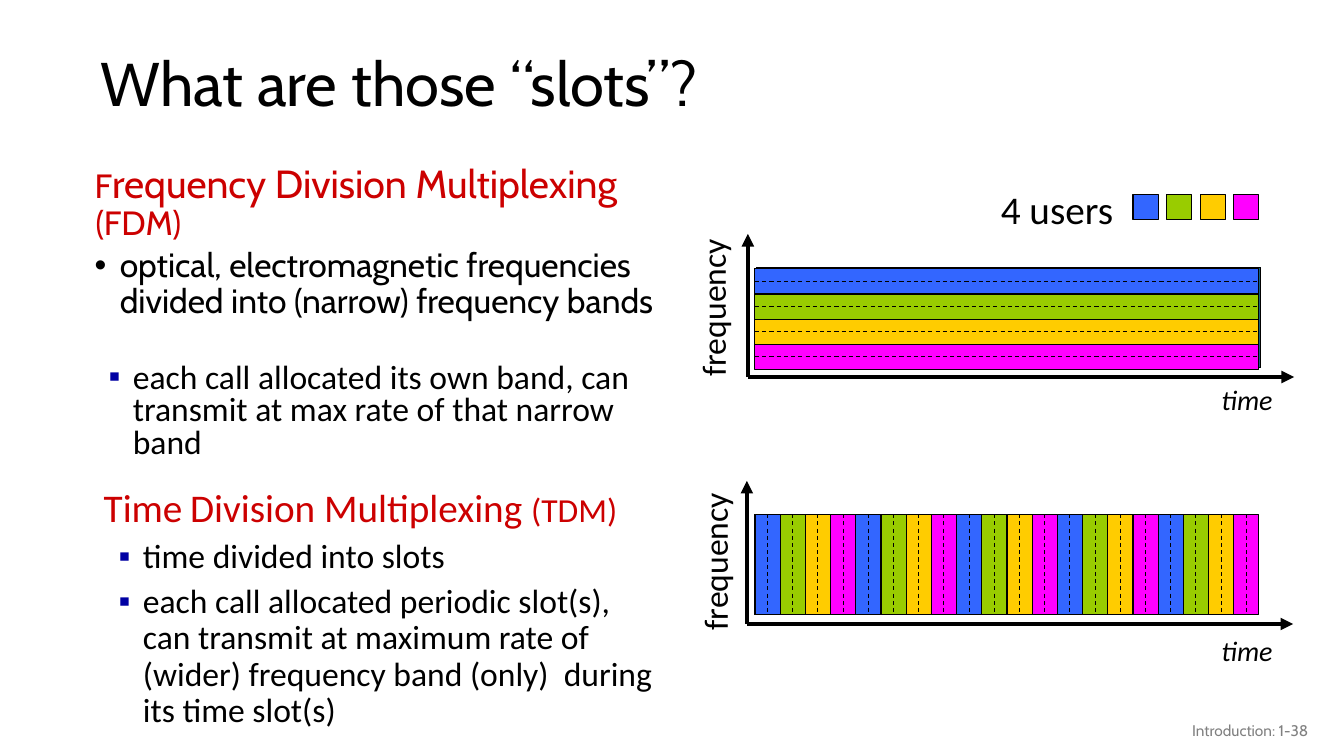
from dataclasses import dataclass

from lxml.etree import SubElement
from pptx import Presentation
from pptx.dml.color import RGBColor
from pptx.enum.dml import MSO_LINE_DASH_STYLE as Dash
from pptx.enum.shapes import MSO_CONNECTOR as Connector, MSO_SHAPE as Shape
from pptx.enum.text import MSO_ANCHOR as Anchor, MSO_AUTO_SIZE as AutoSize, PP_ALIGN as Align
from pptx.oxml.ns import qn
from pptx.util import Pt


@dataclass(frozen=True)
class Theme:
    """Colours, fonts and type sizes of the slide."""
    ink: str = "000000"
    heading: str = "CC0000"
    bullet: str = "0000A3"
    frame: str = "156082"
    footer: str = "808080"
    users: tuple = ("3366FF", "99CC00", "FFCC00", "FF00FF")
    display: str = "Cabin"
    text: str = "Calibri"
    title_size: int = 44
    heading_size: int = 28
    body_size: int = 24
    small_size: int = 20
    footer_size: int = 11
    thin: float = 0.75
    thick: float = 3


class SlideBuilder:
    """Draws styled elements on the current slide."""

    def __init__(self, slide, theme):
        self.slide = slide
        self.theme = theme

    def text(self, box, paragraphs, wrap=True, anchor=Anchor.TOP, rotation=0):
        """Add a text box holding (runs, format) pairs."""
        shape = self.slide.shapes.add_textbox(*map(Pt, box))
        shape.rotation = rotation
        frame = shape.text_frame
        frame_format = {"word_wrap": wrap, "vertical_anchor": anchor,
                        "auto_size": AutoSize.NONE if wrap else AutoSize.SHAPE_TO_FIT_TEXT}
        for name, value in frame_format.items():
            setattr(frame, name, value)
        for index, (runs, style) in enumerate(paragraphs):
            paragraph = frame.add_paragraph() if index else frame.paragraphs[0]
            self.paragraph(paragraph, runs, **style)
        return shape

    def paragraph(self, paragraph, runs, bullet=None, bullet_color=None,
                  left=0, hanging=0, **style):
        """Fill one paragraph with (text, size, font, colour, italic) runs."""
        for name, value in style.items():
            setattr(paragraph, name, value)
        properties = paragraph._p.get_or_add_pPr()
        properties.set("marL", str(Pt(left)))
        properties.set("indent", str(-Pt(hanging)))
        if bullet_color:
            color = SubElement(properties, qn("a:buClr"))
            SubElement(color, qn("a:srgbClr"), val=bullet_color)
        if bullet:
            SubElement(properties, qn("a:buFont"), typeface="Arial")
            SubElement(properties, qn("a:buChar"), char=bullet)
        for words, size, font, color, italic in runs:
            run = paragraph.add_run()
            run.text = words
            run_format = {"size": Pt(size), "name": font, "italic": italic}
            for name, value in run_format.items():
                setattr(run.font, name, value)
            run.font.color.rgb = RGBColor.from_string(color)

    def run(self, words, size=None, font=None, color=None, italic=False):
        """Describe a run, taking the body style by default."""
        theme = self.theme
        return (words, size or theme.body_size, font or theme.text, color or theme.ink, italic)

    def rectangle(self, box, color):
        """Add a thinly outlined rectangle."""
        shape = self.slide.shapes.add_shape(Shape.RECTANGLE, *map(Pt, box))
        shape.shadow.inherit = False
        shape.fill.solid()
        shape.fill.fore_color.rgb = RGBColor.from_string(color)
        self.outline(shape.line, self.theme.thin)
        return shape

    def outline(self, line, width, dash=None):
        """Set the ink colour, width and dash of a line."""
        line.color.rgb = RGBColor.from_string(self.theme.ink)
        for name, value in {"width": Pt(width), "dash_style": dash}.items():
            setattr(line, name, value)

    def line(self, start, end, width=None, dash=None, arrow=False):
        """Add a straight connector."""
        connector = self.slide.shapes.add_connector(Connector.STRAIGHT, *map(Pt, start + end))
        self.outline(connector.line, width or self.theme.thin, dash)
        if arrow:
            SubElement(connector.line._get_or_add_ln(), qn("a:tailEnd"), type="triangle")
        SubElement(connector._element.spPr, qn("a:effectLst"))
        return connector

    def midline(self, shape, first_side, last_side):
        """Join two opposite sides of a rectangle by a dashed line."""
        connector = self.line((0, 0), (0, 0), dash=Dash.DASH)
        connector.begin_connect(shape, first_side)
        connector.end_connect(shape, last_side)

    def axes(self, origin, frequency_at, time_at):
        """Add the frequency and time axes with their labels."""
        x, y = origin
        for end in ((x, y - 102.2), (x + 390.2, y)):
            self.line(origin, end, self.theme.thick, arrow=True)
        self.text((*frequency_at, 113.8, 36.4), [([self.run("frequency")], {})],
                  wrap=False, rotation=270)
        time = self.run("time", self.theme.small_size, italic=True)
        self.text((*time_at, 52.6, 31.5), [([time], {})], wrap=False)

    def slots(self, left, top, width, height, count, stacked):
        """Divide an area into equal slots that cycle through the users."""
        step_x, step_y = (0, height / count) if stacked else (width / count, 0)
        size = (step_x or width, step_y or height)
        corners = [(left + i * step_x, top + i * step_y) for i in range(count)]
        colors = self.theme.users
        cells = [self.rectangle((*corner, *size), colors[i % len(colors)])
                 for i, corner in enumerate(corners)]
        for x, y in corners[1:]:
            self.line((x, y), (x + width, y) if stacked else (x, y + height))
        for cell in cells:
            self.midline(cell, *((1, 3) if stacked else (0, 2)))


def main():
    """Build and save the slide."""
    presentation = Presentation()
    presentation.slide_width, presentation.slide_height = Pt(960), Pt(540)
    theme = Theme()
    builder = SlideBuilder(presentation.slides.add_slide(presentation.slide_layouts[6]), theme)
    run = builder.run

    title = run("What are those “slots”?", theme.title_size, theme.display)
    builder.text((64.8, 26.6, 828, 70.6), [([title], {"line_spacing": 0.9})],
                 anchor=Anchor.MIDDLE)

    builder.axes((534.2, 269.3), (452.2, 200.9), (865.4, 270))
    builder.rectangle((540.7, 190.8, 360, 72), theme.frame)
    builder.slots(539.3, 192, 360, 72, 4, stacked=True)
    builder.axes((533.5, 445.7), (453.6, 382.3), (865.4, 448.6))
    builder.rectangle((539.3, 367.2, 360, 72), theme.frame)
    builder.slots(539.3, 367.2, 360, 72, 20, stacked=False)

    builder.text((707.8, 128.9, 95.8, 41), [([run("4 users", theme.heading_size)], {})],
                 wrap=False)
    for index, color in enumerate(theme.users):
        builder.rectangle((809.3 + 24 * index, 139, 18, 18), color)

    tight = {"line_spacing": 0.9, "space_before": Pt(4)}
    loose = {"line_spacing": 0.9, "space_before": Pt(6)}
    square = {"bullet": "▪", "bullet_color": theme.bullet, "left": 28, "hanging": 17.3}

    def heading(parts, font):
        """Turn (text, size) parts into heading runs."""
        return [run(words, size, font, theme.heading) for words, size in parts]

    large, normal = theme.heading_size, theme.body_size
    fdm = heading([("F", normal), ("requency Division Multiplexing ", large),
                   ("(FDM)", normal)], theme.display)
    bands = run("optical, electromagnetic frequencies divided into (narrow) frequency bands",
                font=theme.display)
    builder.text((60.5, 113.8, 414.7, 156.2), [
        (fdm, {"left": 0.7, "hanging": 0.7, **tight}),
        ([bands], {"bullet": "•", "left": 18, "hanging": 18, **tight})])

    tdm = heading([("Time", large), (" ", normal), ("Division Multiplexing ", large),
                   ("(TDM)", normal)], theme.text)
    builder.text((67, 345.6, 415.4, 194.4), [
        (tdm, {"left": 0.7, "hanging": 0.7, **loose}),
        ([run("time divided into slots")], {**square, **loose})])

    own_band = "each call allocated its own band, can transmit at max rate of that narrow band"
    builder.text((59.8, 256.3, 414.7, 82),
                 [([run(own_band)], {**square, **tight, "line_spacing": 0.8})])
    periodic = ("each call allocated periodic slot(s), can transmit at maximum rate of "
                "(wider) frequency band (only)  during its time slot(s)")
    builder.text((67, 414, 415.4, 126), [([run(periodic)], {**square, **loose})])

    footer = run("Introduction: 1-38", theme.footer_size, theme.display, theme.footer)
    builder.text((725.8, 507.6, 216, 28.8), [([footer], {"alignment": Align.RIGHT})],
                 anchor=Anchor.MIDDLE)
    presentation.save("out.pptx")


if __name__ == "__main__":
    main()
